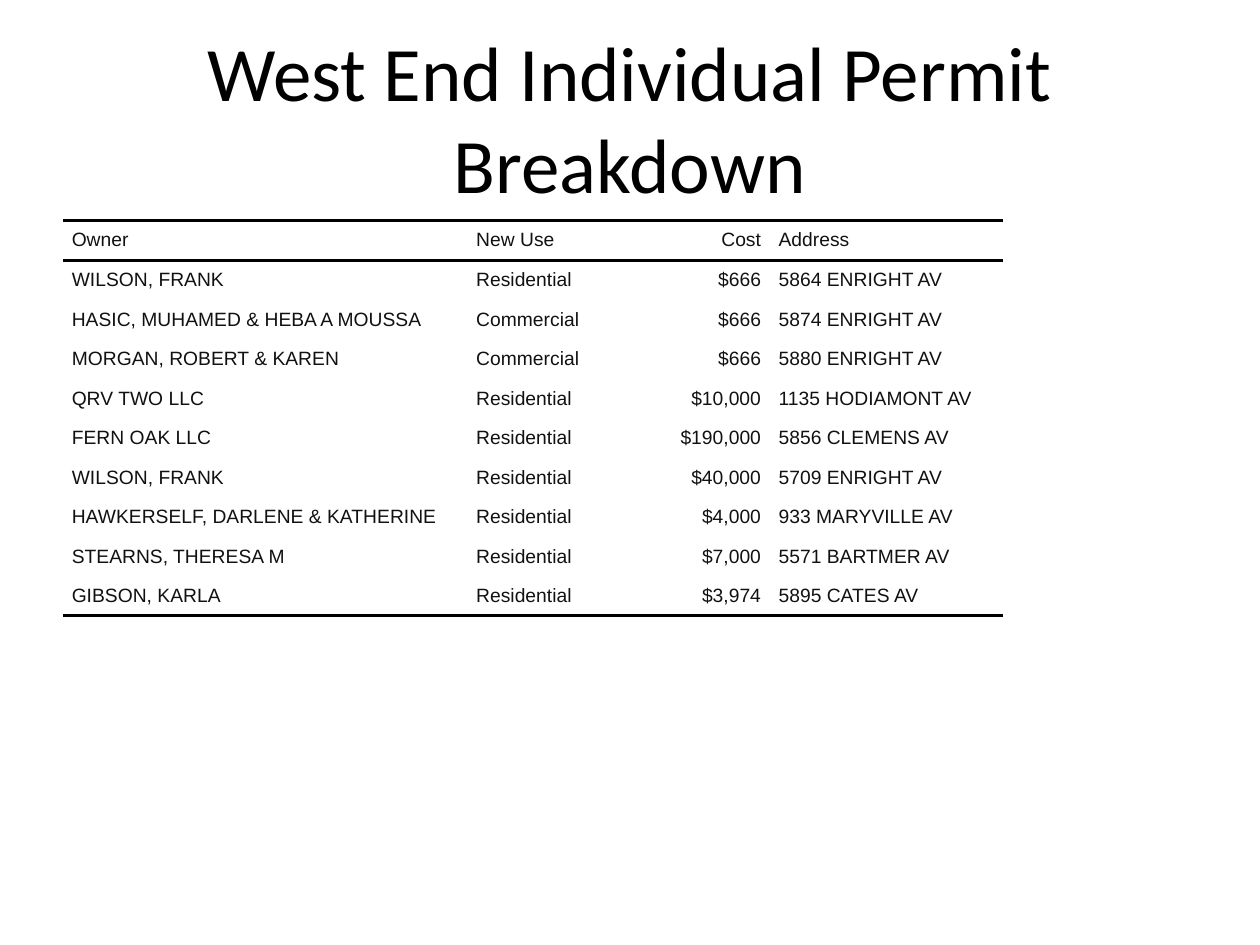
from lxml import etree
from pptx import Presentation
from pptx.dml.color import RGBColor
from pptx.enum import text
from pptx.oxml.ns import qn
from pptx.util import Inches, Pt

BLACK = RGBColor(0x00, 0x00, 0x00)
INK = RGBColor(0x11, 0x11, 0x11)
LEFT, RIGHT, CENTER = (text.PP_ALIGN.LEFT, text.PP_ALIGN.RIGHT,
                       text.PP_ALIGN.CENTER)
HEAD = {"name": "Calibri", "size": Pt(44), "bold": False}
BODY = {"name": "Arial", "size": Pt(11), "bold": False}
INSETS = {"margin_left": Inches(0.07), "margin_right": Inches(0.07),
          "margin_top": 0, "margin_bottom": 0,
          "vertical_anchor": text.MSO_ANCHOR.MIDDLE}

WIDTHS = [3.21, 1.1, 1.3, 1.85]
HEIGHT = 3.14
ALIGNS = [LEFT, LEFT, RIGHT, LEFT]
PERMITS = [
    ("Owner", "New Use", "Cost", "Address"),
    ("WILSON, FRANK", "Residential", "$666", "5864 ENRIGHT AV"),
    ("HASIC, MUHAMED & HEBA A MOUSSA", "Commercial", "$666",
     "5874 ENRIGHT AV"),
    ("MORGAN, ROBERT & KAREN", "Commercial", "$666", "5880 ENRIGHT AV"),
    ("QRV TWO LLC", "Residential", "$10,000", "1135 HODIAMONT AV"),
    ("FERN OAK LLC", "Residential", "$190,000", "5856 CLEMENS AV"),
    ("WILSON, FRANK", "Residential", "$40,000", "5709 ENRIGHT AV"),
    ("HAWKERSELF, DARLENE & KATHERINE", "Residential", "$4,000",
     "933 MARYVILLE AV"),
    ("STEARNS, THERESA M", "Residential", "$7,000", "5571 BARTMER AV"),
    ("GIBSON, KARLA", "Residential", "$3,974", "5895 CATES AV"),
]


def assign(item, values):
    for name, value in values.items():
        setattr(item, name, value)


def write(frame, words, align, font, color):
    frame.text = words
    para = frame.paragraphs[0]
    para.alignment = align
    face = para.runs[0].font
    assign(face, font)
    face.color.rgb = color


def add_title(slide, words):
    title = slide.shapes.title
    assign(title, {"left": Inches(0.5), "top": Inches(0.3),
                   "width": Inches(9), "height": Inches(1.25)})
    frame = title.text_frame
    assign(frame, {"word_wrap": True, "auto_size": text.MSO_AUTO_SIZE.NONE,
                   "vertical_anchor": text.MSO_ANCHOR.MIDDLE})
    write(frame, words, CENTER, HEAD, BLACK)


def rule(cell, sides):
    """Draw 2 pt lines on the given sides and clear the others."""
    props = cell._tc.get_or_add_tcPr()
    for side in "LRTB":
        line = etree.SubElement(props, qn(f"a:ln{side}"))
        if side in sides:
            line.set("w", str(Pt(2)))
            fill = etree.SubElement(line, qn("a:solidFill"))
            etree.SubElement(fill, qn("a:srgbClr"), val=str(BLACK))
        else:
            etree.SubElement(line, qn("a:noFill"))


def add_table(slide, rows):
    table = slide.shapes.add_table(
        len(rows), len(WIDTHS), Inches(0.5), Inches(1.75),
        Inches(sum(WIDTHS)), Inches(HEIGHT)).table
    assign(table, {"first_row": False, "horz_banding": False})
    for col, width in zip(table.columns, WIDTHS):
        col.width = Inches(width)
    sides = {0: "TB", 1: "T", len(rows) - 1: "B"}
    for i, row in enumerate(rows):
        table.rows[i].height = Inches(HEIGHT / len(rows))
        for j, words in enumerate(row):
            cell = table.cell(i, j)
            assign(cell, INSETS)
            rule(cell, sides.get(i, ""))
            cell.fill.background()
            write(cell.text_frame, words, ALIGNS[j], BODY, INK)


def main():
    deck = Presentation()
    assign(deck, {"slide_width": Inches(10), "slide_height": Inches(7.5)})
    slide = deck.slides.add_slide(deck.slide_layouts[5])
    add_title(slide, "West End Individual Permit Breakdown")
    add_table(slide, PERMITS)
    deck.save("out.pptx")


if __name__ == "__main__":
    main()
